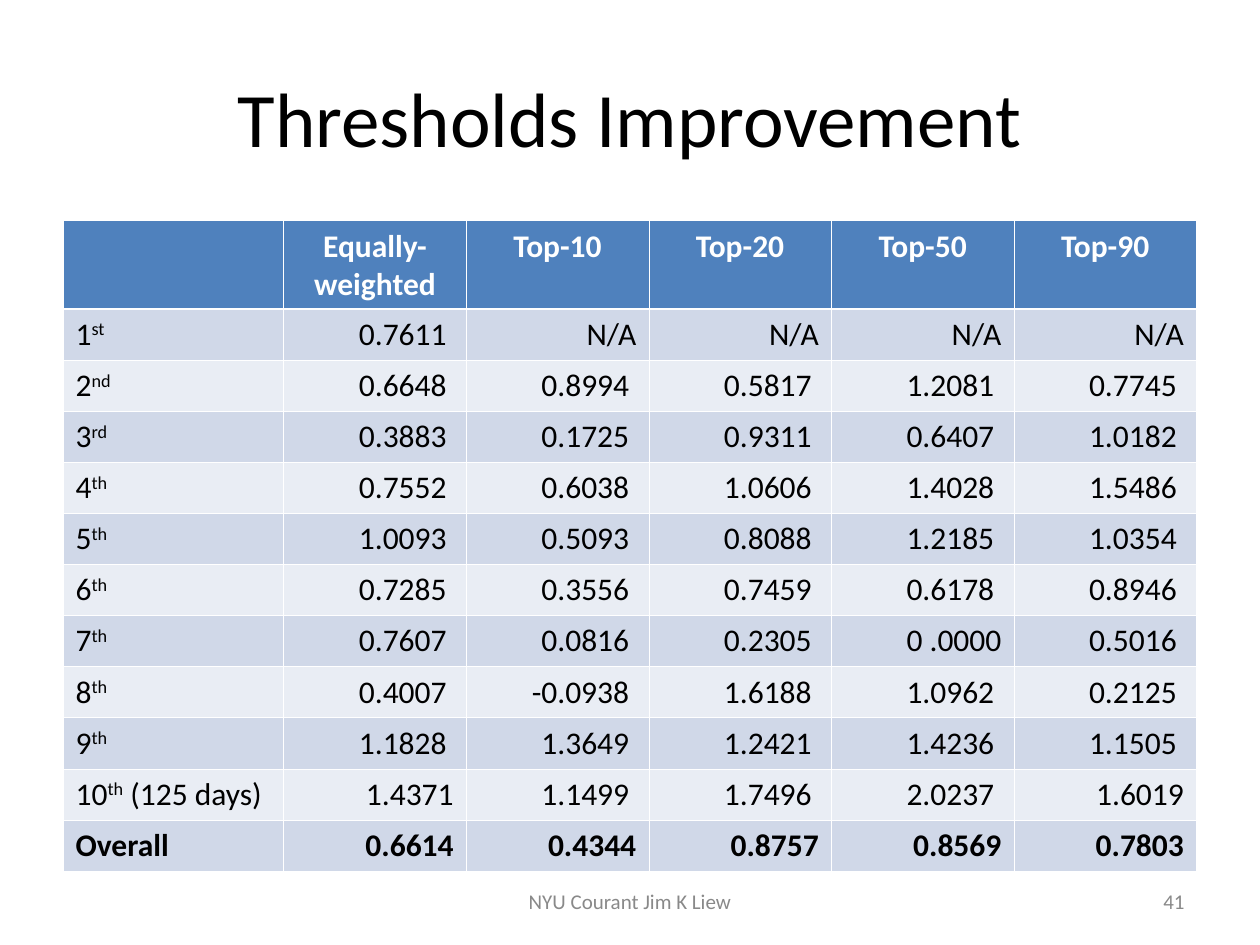
import lxml.etree
import pptx
import pptx.dml.color
import pptx.enum.text
import pptx.oxml.ns
import pptx.util

Cm = pptx.util.Cm
Pt = pptx.util.Pt
Align = pptx.enum.text.PP_ALIGN
Anchor = pptx.enum.text.MSO_ANCHOR
qn = pptx.oxml.ns.qn

HEADERS = ["", "Equally-weighted", "Top-10", "Top-20", "Top-50", "Top-90"]
# Label, ordinal suffix, rest of label, values.
# A trailing space sets a value in from the right edge.
ROWS = [
    ("1", "st", "", ["0.7611 ", "N/A", "N/A", "N/A", "N/A"]),
    ("2", "nd", "", ["0.6648 ", "0.8994 ", "0.5817 ", "1.2081 ", "0.7745 "]),
    ("3", "rd", "", ["0.3883 ", "0.1725 ", "0.9311 ", "0.6407 ", "1.0182 "]),
    ("4", "th", "", ["0.7552 ", "0.6038 ", "1.0606 ", "1.4028 ", "1.5486 "]),
    ("5", "th", "", ["1.0093 ", "0.5093 ", "0.8088 ", "1.2185 ", "1.0354 "]),
    ("6", "th", "", ["0.7285 ", "0.3556 ", "0.7459 ", "0.6178 ", "0.8946 "]),
    ("7", "th", "", ["0.7607 ", "0.0816 ", "0.2305 ", "0 .0000", "0.5016 "]),
    ("8", "th", "", ["0.4007 ", "-0.0938 ", "1.6188 ", "1.0962 ", "0.2125 "]),
    ("9", "th", "", ["1.1828 ", "1.3649 ", "1.2421 ", "1.4236 ", "1.1505 "]),
    ("10", "th", " (125 days)",
     ["1.4371", "1.1499 ", "1.7496 ", "2.0237 ", "1.6019"]),
    ("Overall", "", "", ["0.6614", "0.4344", "0.8757", "0.8569", "0.7803"]),
]


def color(hex_string):
    return pptx.dml.color.RGBColor.from_string(hex_string)


def write_text(para, parts, size, hex_string, align, bold=False):
    """Fill a paragraph; the second part, if any, is superscript."""
    para.alignment = align
    for index, part in enumerate(parts):
        if not part:
            continue
        span = para.add_run()
        span.text = part
        span.font.name = "Calibri"
        span.font.size = Pt(size)
        span.font.bold = bold
        span.font.color.rgb = color(hex_string)
        if index == 1:
            span.font._element.set("baseline", "30000")


deck = pptx.Presentation()
deck.slide_width = Cm(25.4)
deck.slide_height = Cm(19.05)
page = deck.slides.add_slide(deck.slide_layouts[6])

# Title, footer and page number
for text, left, top, width, height, size, hex_string, align in [
    ("Thresholds Improvement", 1.27, 0.76, 22.86, 3.18, 44, "000000", Align.CENTER),
    ("NYU Courant Jim K Liew", 8.68, 17.66, 8.04, 1.01, 12, "898989", Align.CENTER),
    ("41", 18.2, 17.66, 5.93, 1.01, 12, "898989", Align.RIGHT),
]:
    box = page.shapes.add_textbox(Cm(left), Cm(top), Cm(width), Cm(height))
    box.text_frame.word_wrap = True
    box.text_frame.vertical_anchor = Anchor.MIDDLE
    write_text(box.text_frame.paragraphs[0], [text], size, hex_string, align)

# Table
table = page.shapes.add_table(
    len(ROWS) + 1, len(HEADERS), Cm(1.27), Cm(4.45), Cm(22.86), Cm(13.11)
).table
for index, column in enumerate(table.columns):
    column.width = Cm(3.68) if index else Cm(4.45)
for index, row in enumerate(table.rows):
    row.height = Cm(1.03) if index else Cm(1.78)

for index, header in enumerate(HEADERS):
    write_text(table.cell(0, index).text_frame.paragraphs[0], [header],
               18, "FFFFFF", Align.CENTER, bold=True)
for row_index, (label, suffix, rest, values) in enumerate(ROWS, start=1):
    bold = label == "Overall"
    write_text(table.cell(row_index, 0).text_frame.paragraphs[0],
               [label, suffix, rest], 18, "000000", Align.LEFT, bold)
    for column_index, value in enumerate(values, start=1):
        write_text(table.cell(row_index, column_index).text_frame.paragraphs[0],
                   [value], 18, "000000", Align.RIGHT, bold)

# Cell fills and white rules, heavier under the header
for row_index in range(len(table.rows)):
    if row_index == 0:
        fill = "4F81BD"
    else:
        fill = "D0D8E8" if row_index % 2 else "E9EDF4"
    heavy_side = {0: "lnB", 1: "lnT"}.get(row_index)
    for cell in table.rows[row_index].cells:
        cell.fill.solid()
        cell.fill.fore_color.rgb = color(fill)
        properties = cell._tc.get_or_add_tcPr()
        for position, side in enumerate(["lnL", "lnR", "lnT", "lnB"]):
            line = lxml.etree.Element(qn("a:" + side))
            line.set("w", str(Pt(1.47 if side == heavy_side else 0.45)))
            line_fill = lxml.etree.SubElement(line, qn("a:solidFill"))
            lxml.etree.SubElement(line_fill, qn("a:srgbClr")).set("val", "FFFFFF")
            properties.insert(position, line)

deck.save("out.pptx")
